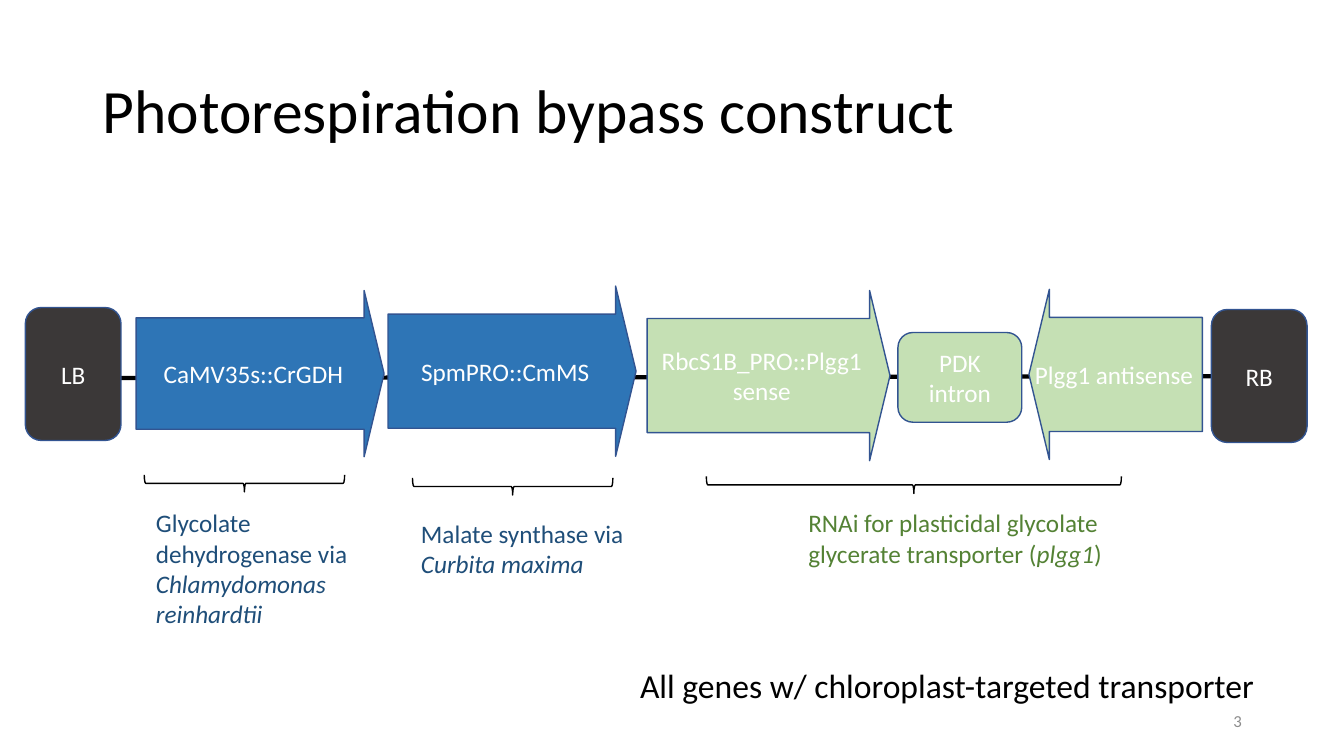
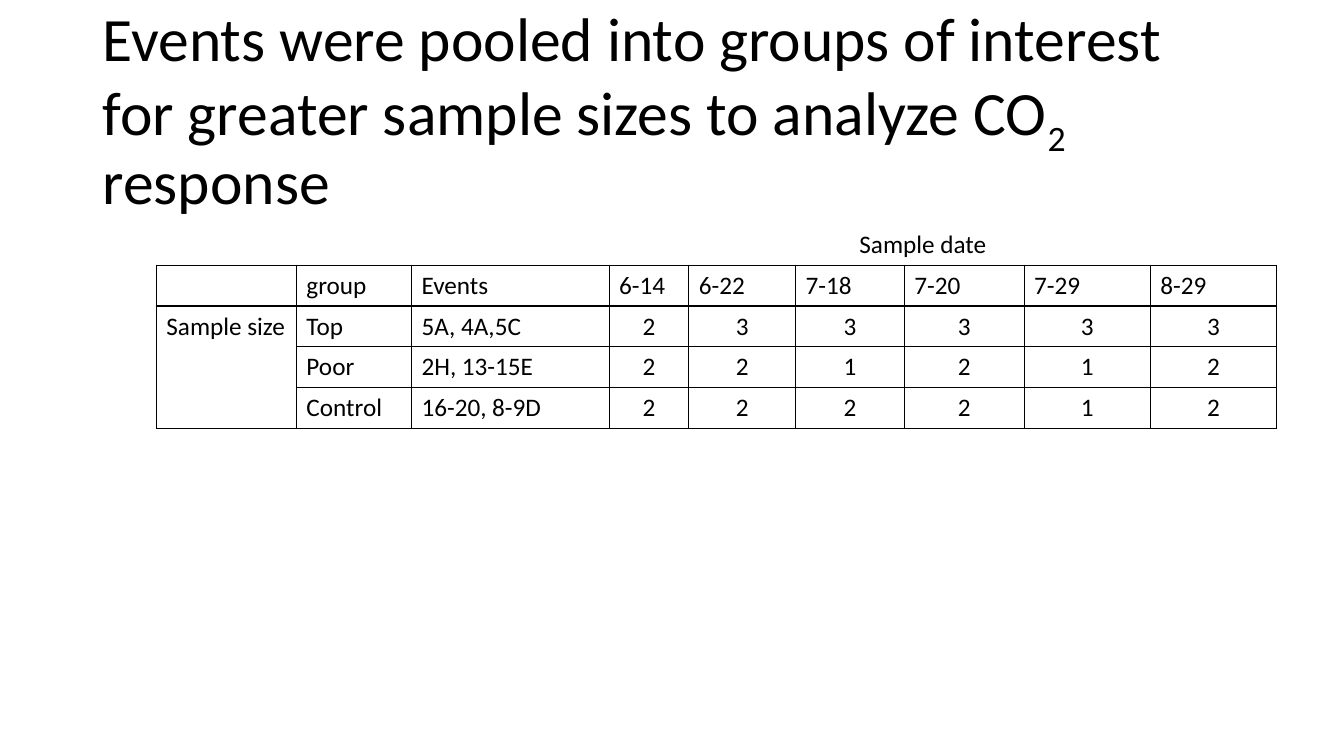
from dataclasses import dataclass
from typing import Any, NamedTuple

from lxml import etree
from pptx import Presentation
from pptx import util as u
from pptx.dml import color
from pptx.enum import shapes, text
from pptx.oxml import ns


@dataclass(frozen=True)
class Theme:
    font: str = "Calibri"
    black: str = "000000"
    white: str = "FFFFFF"
    border: str = "3B3838"
    outline: str = "325491"
    blue: str = "2E75B6"
    green: str = "C5E0B4"
    dark_blue: str = "1F4E79"
    dark_green: str = "548235"
    grey: str = "8C8C8C"
    title: int = 44
    callout: int = 24
    body: int = 18
    small: int = 12


THEME = Theme()
KIND = shapes.MSO_SHAPE
ALIGN = text.PP_ALIGN
MIDDLE = text.MSO_ANCHOR.MIDDLE


class Span(NamedTuple):
    text: str
    italic: bool = False
    baseline: int = 0


class Area(NamedTuple):
    left: float
    top: float
    width: float
    height: float

    def lengths(self) -> list[u.Length]:
        return [u.Cm(value) for value in self]


Paragraphs = list[list[Span]]


@dataclass(frozen=True)
class Part:
    kind: Any
    area: Area
    fill: str
    label: str = ""
    rotation: int = 0


@dataclass(frozen=True)
class Note:
    area: Area
    paras: Paragraphs
    ink: str = THEME.black
    size: int = THEME.body
    wrap: bool = True


@dataclass(frozen=True)
class Brace:
    center_x: float
    center_y: float
    span: float
    depth: float = 0.43


PARTS = [
    Part(KIND.ROUNDED_RECTANGLE, Area(0.64, 7.75, 2.41, 3.35), THEME.border, "LB"),
    Part(KIND.RIGHT_ARROW, Area(3.43, 7.32, 6.25, 4.19), THEME.blue, "CaMV35s::CrGDH"),
    Part(KIND.RIGHT_ARROW, Area(9.78, 7.21, 6.25, 4.29), THEME.blue, "SpmPRO::CmMS"),
    Part(KIND.RIGHT_ARROW, Area(16.31, 7.32, 6.12, 4.29), THEME.green, "RbcS1B_PRO::Plgg1 sense"),
    Part(KIND.RIGHT_ARROW, Area(25.93, 7.29, 4.37, 4.29), THEME.green, rotation=180),
    Part(KIND.ROUNDED_RECTANGLE, Area(22.63, 8.38, 3.12, 2.26), THEME.green, "PDK intron"),
    Part(KIND.ROUNDED_RECTANGLE, Area(30.53, 7.8, 2.41, 3.35), THEME.border, "RB"),
]
NOTES = [
    Note(Area(25.83, 8.92, 4.55, 1.02), [[Span("Plgg1 antisense")]], THEME.white, wrap=False),
    Note(
        Area(15.88, 16.64, 16.13, 1.27),
        [[Span("All genes w/ chloroplast-targeted transporter")]],
        size=THEME.callout,
        wrap=False,
    ),
    Note(
        Area(3.68, 12.67, 5.46, 3.33),
        [[Span("Glycolate dehydrogenase via")], [Span("Chlamydomonas reinhardtii", True)]],
        THEME.dark_blue,
    ),
    Note(
        Area(10.36, 12.93, 5.84, 1.8),
        [[Span("Malate synthase via "), Span("Curbita maxima", True)]],
        THEME.dark_blue,
    ),
    Note(
        Area(20.12, 12.67, 9.4, 1.8),
        [[
            Span("RNAi for plasticidal glycolate glycerate transporter ("),
            Span("plgg1", True),
            Span(")"),
        ]],
        THEME.dark_green,
    ),
]
BRACES = [Brace(23.03, 12.22, 10.46), Brace(12.92, 12.26, 5.05), Brace(6.16, 12.18, 5.05)]
SAMPLE_ROWS = [
    ["", "group", "Events", "6-14", "6-22", "7-18", "7-20", "7-29", "8-29"],
    ["Sample size", "Top", "5A, 4A,5C", "2", "3", "3", "3", "3", "3"],
    ["", "Poor", "2H, 13-15E", "2", "2", "1", "2", "1", "2"],
    ["", "Control", "16-20, 8-9D", "2", "2", "2", "2", "1", "2"],
]
COLUMN_WIDTHS = [3.53, 2.9, 4.98, 2.01, 2.69, 2.74, 3.02, 3.18, 3.18]
ROW_HEIGHT = 1.03


def apply(target: Any, formats: dict[str, Any]) -> None:
    for name, value in formats.items():
        setattr(target, name, value)


def rgb(value: str) -> color.RGBColor:
    return color.RGBColor.from_string(value)


def write(
    frame: Any, paras: Paragraphs, ink: str, size: int = THEME.body, **para_formats: Any
) -> None:
    for index, spans in enumerate(paras):
        para = frame.add_paragraph() if index else frame.paragraphs[0]
        apply(para, para_formats)
        for span in spans:
            run = para.add_run()
            run.text = span.text
            apply(run.font, {"name": THEME.font, "size": u.Pt(size), "italic": span.italic})
            run.font.color.rgb = rgb(ink)
            if span.baseline:
                run.font._element.set("baseline", str(span.baseline * 1000))


def add_page(deck: Any, title: list[Span]) -> Any:
    page = deck.slides.add_slide(deck.slide_layouts[5])
    box = page.shapes.title
    area = Area(2.33, 1.01, 29.21, 3.68).lengths()
    apply(box, dict(zip(("left", "top", "width", "height"), area)))
    apply(
        box.text_frame,
        {"vertical_anchor": MIDDLE, "auto_size": text.MSO_AUTO_SIZE.NONE, "word_wrap": True},
    )
    write(
        box.text_frame, [title], THEME.black, THEME.title, alignment=ALIGN.LEFT, line_spacing=0.9
    )
    return page


def add_backbone(page: Any) -> Any:
    line = page.shapes.add_connector(
        shapes.MSO_CONNECTOR.STRAIGHT, u.Cm(1.02), u.Cm(9.53), u.Cm(32.94), u.Cm(9.47)
    )
    line.line.color.rgb = rgb(THEME.black)
    line.line.width = u.Pt(3)
    etree.SubElement(line._element.spPr, ns.qn("a:effectLst"))
    return line


def add_part(page: Any, part: Part) -> Any:
    shape = page.shapes.add_shape(part.kind, *part.area.lengths())
    shape.shadow.inherit = False
    shape.rotation = part.rotation
    if part.kind == KIND.RIGHT_ARROW:
        shape.adjustments[0] = 0.67
        shape.adjustments[1] = 0.12
    shape.fill.solid()
    shape.fill.fore_color.rgb = rgb(part.fill)
    shape.line.color.rgb = rgb(THEME.outline)
    shape.line.width = u.Pt(1)
    if part.label:
        apply(shape.text_frame, {"vertical_anchor": MIDDLE, "word_wrap": True})
        write(shape.text_frame, [[Span(part.label)]], THEME.white, alignment=ALIGN.CENTER)
    return shape


def add_note(page: Any, note: Note) -> None:
    frame = page.shapes.add_textbox(*note.area.lengths()).text_frame
    apply(frame, {"word_wrap": note.wrap, "auto_size": text.MSO_AUTO_SIZE.SHAPE_TO_FIT_TEXT})
    write(frame, note.paras, note.ink, note.size)


def add_brace(page: Any, brace: Brace) -> None:
    area = Area(
        brace.center_x - brace.depth / 2,
        brace.center_y - brace.span / 2,
        brace.depth,
        brace.span,
    )
    shape = page.shapes.add_shape(KIND.RIGHT_BRACE, *area.lengths())
    shape.shadow.inherit = False
    shape.rotation = 90
    shape.fill.background()
    shape.line.color.rgb = rgb(THEME.black)
    shape.line.width = u.Pt(1)


def add_page_number(page: Any, number: str) -> None:
    frame = page.shapes.add_textbox(*Area(23.93, 17.65, 7.62, 1.02).lengths()).text_frame
    apply(frame, {"vertical_anchor": MIDDLE, "word_wrap": True})
    write(frame, [[Span(number)]], THEME.grey, THEME.small, alignment=ALIGN.RIGHT)


def outline_cell(cell: Any) -> None:
    properties = cell._tc.get_or_add_tcPr()
    for side in ("a:lnL", "a:lnR", "a:lnT", "a:lnB"):
        edge = etree.SubElement(properties, ns.qn(side), w=str(u.Pt(1)))
        fill = etree.SubElement(edge, ns.qn("a:solidFill"))
        etree.SubElement(fill, ns.qn("a:srgbClr"), val=THEME.black)
    cell.fill.background()


def add_sample_table(page: Any) -> None:
    area = Area(3.94, 6.68, sum(COLUMN_WIDTHS), ROW_HEIGHT * len(SAMPLE_ROWS))
    table = page.shapes.add_table(
        len(SAMPLE_ROWS), len(COLUMN_WIDTHS), *area.lengths()
    ).table
    apply(table, {"first_row": False, "horz_banding": False})
    for column, width in zip(table.columns, COLUMN_WIDTHS):
        column.width = u.Cm(width)
    for row_index, values in enumerate(SAMPLE_ROWS):
        table.rows[row_index].height = u.Cm(ROW_HEIGHT)
        for column_index, value in enumerate(values):
            cell = table.cell(row_index, column_index)
            outline_cell(cell)
            if value:
                is_count = row_index > 0 and column_index > 2
                align = ALIGN.CENTER if is_count else ALIGN.LEFT
                write(cell.text_frame, [[Span(value)]], THEME.black, alignment=align)
    table.cell(1, 0).merge(table.cell(3, 0))


def build_construct(deck: Any) -> None:
    page = add_page(deck, [Span("Photorespiration bypass construct")])
    backbone = add_backbone(page)
    drawn = [add_part(page, part) for part in PARTS]
    backbone.end_connect(drawn[-1], 3)
    for note in NOTES:
        add_note(page, note)
    for brace in BRACES:
        add_brace(page, brace)
    add_page_number(page, "3")


def build_samples(deck: Any) -> None:
    title = [
        Span("Events were pooled into groups of interest for greater sample sizes to analyze CO"),
        Span("2", baseline=-25),
        Span(" response"),
    ]
    page = add_page(deck, title)
    add_sample_table(page)
    add_note(page, Note(Area(21.41, 5.64, 3.73, 1.02), [[Span("Sample date")]], wrap=False))


def main() -> None:
    deck = Presentation()
    apply(deck, {"slide_width": u.Cm(33.87), "slide_height": u.Cm(19.05)})
    build_construct(deck)
    build_samples(deck)
    deck.save("out.pptx")


if __name__ == "__main__":
    main()
